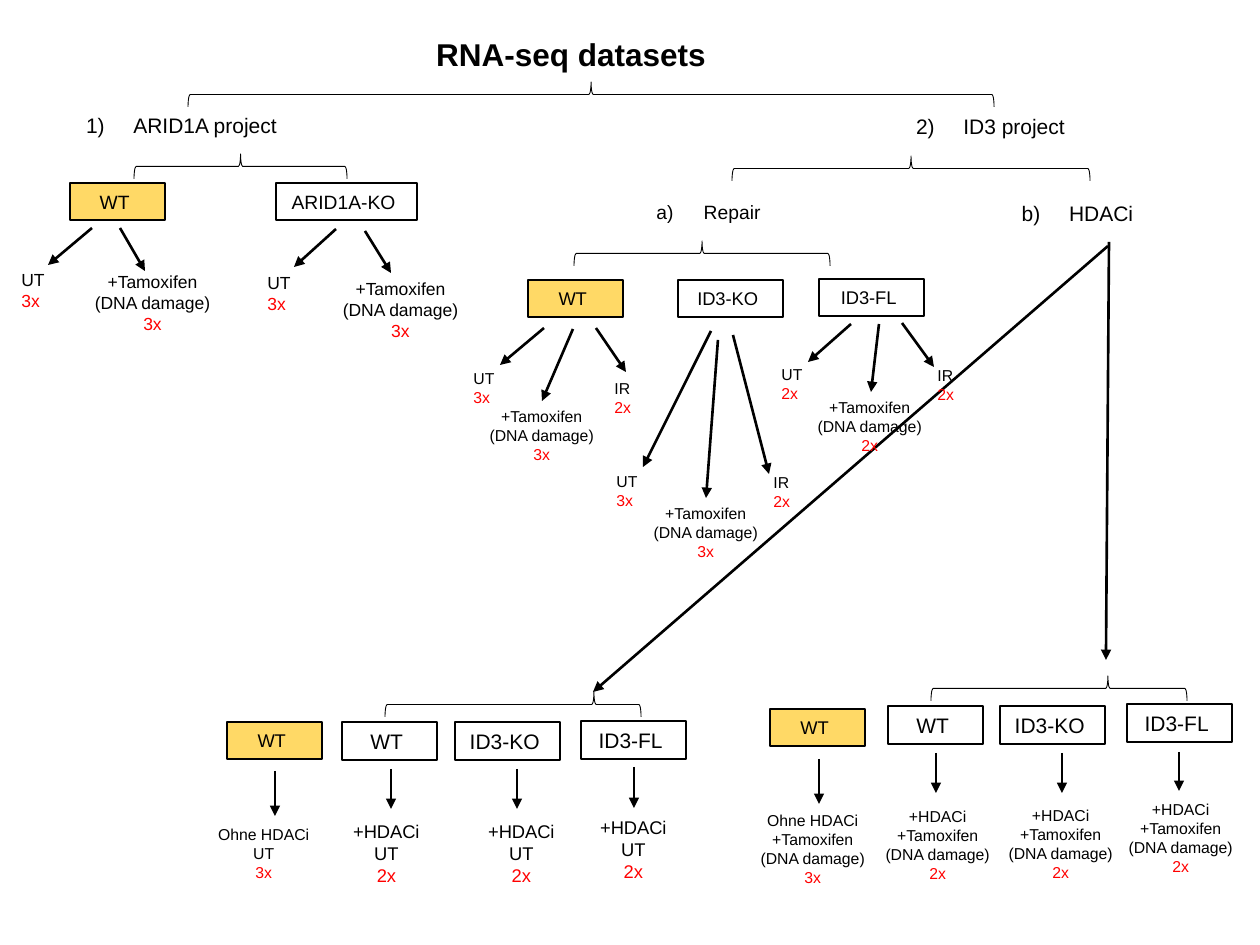
"""Build the overview slide of the RNA-seq datasets as a tree of samples."""
from typing import NamedTuple, Optional

import lxml.etree
import pptx
import pptx.dml.color
import pptx.enum.shapes
import pptx.enum.text
import pptx.oxml.ns
import pptx.util

BLACK = pptx.dml.color.RGBColor(0x00, 0x00, 0x00)
RED = pptx.dml.color.RGBColor(0xFF, 0x00, 0x00)
GOLD = pptx.dml.color.RGBColor(0xFF, 0xD9, 0x66)
ALIGN = pptx.enum.text.PP_ALIGN
ANCHOR = pptx.enum.text.MSO_ANCHOR
SHAPE = pptx.enum.shapes.MSO_SHAPE
PIXELS_PER_INCH = 126
INSET = 12.6
BRACE_DEPTH = 25


class Treatment(NamedTuple):
    lines: tuple[str, ...]
    width_at_9pt: int
    align: ALIGN = ALIGN.CENTER


class Arm(NamedTuple):
    treatment: Treatment
    count: str
    left: int
    top: int
    arrow: tuple[int, int, int, int]


class Sample(NamedTuple):
    label: str
    left: int
    top: int
    width: int
    height: int
    size: float
    note_size: float
    arms: tuple[Arm, ...]
    fill: Optional[pptx.dml.color.RGBColor] = None


class Brace(NamedTuple):
    left: int
    top: int
    length: int
    tip: float = 0.5


class Heading(NamedTuple):
    text: str
    left: int
    top: int
    width: int
    size: float
    numbering: str
    start: int


DAMAGE = ("+Tamoxifen", "(DNA damage)")
UT = Treatment(("UT",), 22, ALIGN.LEFT)
IR = Treatment(("IR",), 18, ALIGN.LEFT)
TAMOXIFEN = Treatment(DAMAGE, 106)
HDACI_UT = Treatment(("+HDACi", "UT"), 58)
HDACI_TAMOXIFEN = Treatment(("+HDACi", *DAMAGE), 106)
OHNE_UT = Treatment(("Ohne HDACi", "UT"), 92)
OHNE_TAMOXIFEN = Treatment(("Ohne HDACi", *DAMAGE), 106)

HEADINGS = (
    Heading("ARID1A project", 0, 106, 363, 12, "arabicParenR", 1),
    Heading("ID3 project", 892, 107, 197, 12, "arabicParenR", 2),
    Heading("Repair", 610, 194, 197, 11, "alphaLcParenR", 1),
    Heading("HDACi", 979, 194, 197, 12, "alphaLcParenR", 2),
)
BRACES = (
    Brace(188, 82, 806), Brace(134, 154, 213), Brace(732, 156, 358),
    Brace(574, 241, 256), Brace(385, 692, 256, 0.184), Brace(931, 676, 256, 0.309),
)
HDACI_ARROWS = ((1108, 246, 593, 692), (1109, 242, 1106, 660))
SAMPLES = (
    Sample("WT", 70, 183, 95, 37, 11, 10, (
        Arm(UT, "3x", 9, 263, (92, 228, 48, 265)),
        Arm(TAMOXIFEN, "3x", 81, 265, (120, 228, 145, 271))), GOLD),
    Sample("ARID1A-KO", 276, 183, 141, 37, 11, 10, (
        Arm(UT, "3x", 255, 266, (336, 229, 294, 267)),
        Arm(TAMOXIFEN, "3x", 329, 272, (365, 231, 391, 273)))),
    Sample("WT", 528, 280, 95, 37, 10.5, 9, (
        Arm(UT, "3x", 461, 363, (544, 328, 500, 365)),
        Arm(TAMOXIFEN, "3x", 476, 401, (573, 329, 542, 401)),
        Arm(IR, "2x", 602, 373, (596, 328, 626, 372))), GOLD),
    Sample("ID3-KO", 678, 280, 105, 37, 10.5, 9, (
        Arm(UT, "3x", 604, 466, (711, 331, 643, 467)),
        Arm(TAMOXIFEN, "3x", 640, 498, (718, 340, 706, 498)),
        Arm(IR, "2x", 761, 467, (733, 335, 769, 474)))),
    Sample("ID3-FL", 819, 279, 105, 37, 10.5, 9, (
        Arm(UT, "2x", 769, 359, (851, 324, 808, 362)),
        Arm(TAMOXIFEN, "2x", 804, 392, (879, 324, 871, 392)),
        Arm(IR, "2x", 925, 360, (902, 323, 934, 367)))),
    Sample("WT", 227, 722, 95, 37, 10.5, 9, (
        Arm(OHNE_UT, "3x", 205, 819, (275, 771, 275, 816)),), GOLD),
    Sample("WT", 342, 722, 95, 38, 12, 10.5, (
        Arm(HDACI_UT, "2x", 340, 814, (391, 769, 391, 809)),)),
    Sample("ID3-KO", 455, 722, 105, 38, 12, 10.5, (
        Arm(HDACI_UT, "2x", 475, 814, (517, 769, 517, 809)),)),
    Sample("ID3-FL", 581, 721, 105, 38, 12, 10.5, (
        Arm(HDACI_UT, "2x", 587, 810, (634, 767, 634, 808)),)),
    Sample("WT", 770, 709, 95, 37, 10.5, 9, (
        Arm(OHNE_TAMOXIFEN, "3x", 747, 805, (819, 759, 819, 804)),), GOLD),
    Sample("WT", 888, 706, 95, 38, 12, 9, (
        Arm(HDACI_TAMOXIFEN, "2x", 872, 801, (936, 753, 936, 793)),)),
    Sample("ID3-KO", 1000, 706, 105, 38, 12, 9, (
        Arm(HDACI_TAMOXIFEN, "2x", 995, 800, (1062, 753, 1062, 793)),)),
    Sample("ID3-FL", 1127, 704, 105, 38, 12, 9, (
        Arm(HDACI_TAMOXIFEN, "2x", 1115, 794, (1179, 752, 1179, 791)),)),
)


def px(pixels: float) -> pptx.util.Emu:
    return pptx.util.Emu(round(pixels * 914400 / PIXELS_PER_INCH))


def place(shape, left: float, top: float, width: float, height: float) -> None:
    shape.left, shape.top = px(left), px(top)
    shape.width, shape.height = px(width), px(height)


def write(shape, *lines: str, size: float, bold: bool = False, last_color=BLACK,
          align=ALIGN.CENTER, anchor=ANCHOR.TOP, wrap: bool = True) -> None:
    frame = shape.text_frame
    frame.word_wrap = wrap
    frame.auto_size = pptx.enum.text.MSO_AUTO_SIZE.NONE
    frame.vertical_anchor = anchor
    for index, line in enumerate(lines):
        para = frame.add_paragraph() if index else frame.paragraphs[0]
        para.alignment = align
        para.space_before = pptx.util.Pt(0)
        span = para.add_run()
        span.text = line
        span.font.name = "Arial"
        span.font.size = pptx.util.Pt(size)
        span.font.bold = bold
        span.font.color.rgb = last_color if index == len(lines) - 1 else BLACK


def add_heading(box, heading: Heading) -> None:
    place(box, heading.left, heading.top, heading.width, 38)
    write(box, heading.text, size=heading.size)
    properties = box.text_frame.paragraphs[0]._p.get_or_add_pPr()
    properties.set("marL", "342900")
    properties.set("indent", "-342900")
    lxml.etree.SubElement(properties, pptx.oxml.ns.qn("a:buFont"), typeface="+mj-lt")
    lxml.etree.SubElement(properties, pptx.oxml.ns.qn("a:buAutoNum"),
                          type=heading.numbering, startAt=str(heading.start))


def add_outlined(page, kind, width: float):
    shape = page.shapes.add_shape(kind, 0, 0, 0, 0)
    shape.shadow.inherit = False
    shape.fill.background()
    shape.line.color.rgb = BLACK
    shape.line.width = pptx.util.Pt(width)
    return shape


def add_brace(page, brace: Brace) -> None:
    shape = add_outlined(page, SHAPE.LEFT_BRACE, 0.5)
    shift = (brace.length - BRACE_DEPTH) / 2
    place(shape, brace.left + shift, brace.top - shift, BRACE_DEPTH, brace.length)
    shape.rotation = 90
    shape.adjustments[1] = brace.tip


def add_arrow(page, ends: tuple[int, int, int, int]) -> None:
    arrow = page.shapes.add_connector(pptx.enum.shapes.MSO_CONNECTOR.STRAIGHT, *map(px, ends))
    arrow.line.color.rgb = BLACK
    arrow.line.width = pptx.util.Pt(1.5)
    lxml.etree.SubElement(arrow.line._get_or_add_ln(), pptx.oxml.ns.qn("a:tailEnd"), type="triangle")
    lxml.etree.SubElement(arrow._element.spPr, pptx.oxml.ns.qn("a:effectLst"))


def add_sample(page, sample: Sample) -> None:
    box = add_outlined(page, SHAPE.RECTANGLE, 1)
    place(box, sample.left, sample.top, sample.width, sample.height)
    if sample.fill:
        box.fill.solid()
        box.fill.fore_color.rgb = sample.fill
    write(box, sample.label, size=sample.size, anchor=ANCHOR.MIDDLE)
    box.text_frame.margin_right = px(18)
    for arm in sample.arms:
        add_arrow(page, arm.arrow)
        lines = (*arm.treatment.lines, arm.count)
        width = arm.treatment.width_at_9pt * sample.note_size / 9 + 2 * INSET
        height = len(lines) * sample.note_size * 1.2 * PIXELS_PER_INCH / 72 + INSET
        note = page.shapes.add_textbox(px(arm.left), px(arm.top), px(width), px(height))
        write(note, *lines, size=sample.note_size, last_color=RED,
              align=arm.treatment.align, wrap=False)


def build() -> None:
    deck = pptx.Presentation()
    deck.slide_width, deck.slide_height = px(1260), px(945)
    page = deck.slides.add_slide(deck.slide_layouts.get_by_name("Comparison"))
    title, *bodies = list(page.placeholders)[:5]
    place(title, 127, 29, 888, 50)
    write(title, "RNA-seq datasets", size=18, bold=True)
    for body, heading in zip(bodies, HEADINGS):
        add_heading(body, heading)
    for brace in BRACES:
        add_brace(page, brace)
    for ends in HDACI_ARROWS:
        add_arrow(page, ends)
    for sample in SAMPLES:
        add_sample(page, sample)
    deck.save("out.pptx")


build()
